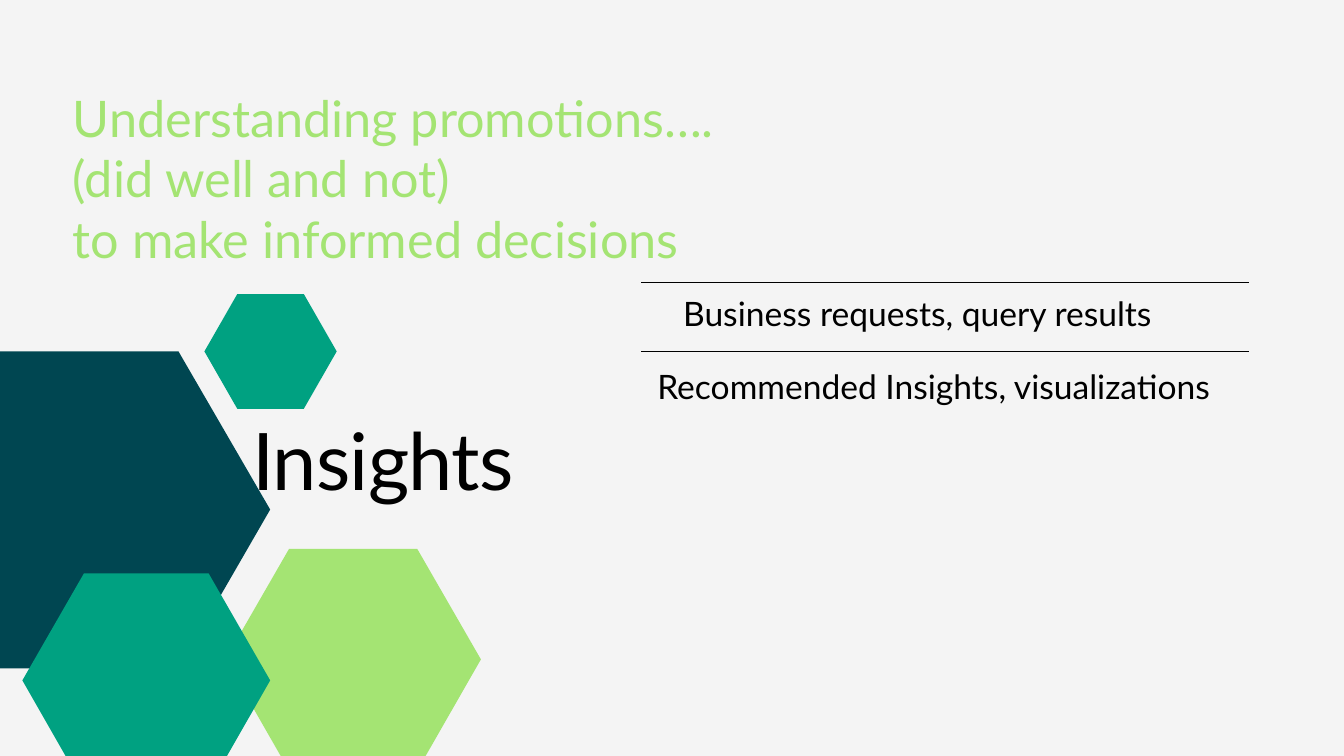
"""Build the insights slide with hexagons and two ruled text rows."""
from lxml.etree import SubElement
from pptx import Presentation
from pptx.dml.color import RGBColor
from pptx.enum.shapes import MSO_CONNECTOR
from pptx.enum.text import MSO_ANCHOR
from pptx.oxml.ns import qn
from pptx.util import Emu, Pt

PAPER = RGBColor(0xF4, 0xF4, 0xF4)
INK = RGBColor(0x00, 0x00, 0x00)
PETROL = RGBColor(0x00, 0x46, 0x51)
TEAL = RGBColor(0x00, 0xA1, 0x81)
LIME = RGBColor(0xA4, 0xE4, 0x73)


def px(length):
    """Turn px into EMU at 96 px to the inch."""
    return Emu(length * 9525)


class Canvas:
    """Hold the style and the current slide."""

    font = "Lato"

    def __init__(self, page):
        """Start on a page with the paper colour."""
        self.page = page
        page.background.fill.solid()
        page.background.fill.fore_color.rgb = PAPER

    def hexagon(self, left, top, width, height, color):
        """Draw a flat-topped hexagon inside the given bounds."""
        right, middle, bottom = left + width, top + height / 2, top + height
        inner_left, inner_right = left + width / 4, right - width / 4
        corners = [(inner_left, top), (inner_right, top), (right, middle),
                   (inner_right, bottom), (inner_left, bottom)]
        builder = self.page.shapes.build_freeform(left, middle, scale=px(1))
        builder.add_line_segments(corners, close=True)
        shape = builder.convert_to_shape()
        shape.shadow.inherit = False
        shape.fill.solid()
        shape.fill.fore_color.rgb = color
        shape.line.fill.background()

    def text(self, left, top, width, height, lines, size, color, first_spacing, tracking=0):
        """Write lines of text, the first with an exact spacing in points."""
        box = self.page.shapes.add_textbox(px(left), px(top), px(width), px(height))
        frame = box.text_frame
        frame.word_wrap = True
        frame.vertical_anchor = MSO_ANCHOR.TOP
        frame.margin_left = frame.margin_right = frame.margin_top = frame.margin_bottom = 0
        for index, line in enumerate(lines):
            para = frame.add_paragraph() if index else frame.paragraphs[0]
            if index == 0:
                para.line_spacing = Pt(first_spacing)
            span = para.add_run()
            span.text = line
            span.font.name = self.font
            span.font.size = Pt(size)
            span.font.color.rgb = color
            if tracking:
                span._r.get_or_add_rPr().set("spc", str(tracking))

    def rule(self, left, right, y):
        """Draw a thin horizontal line."""
        line = self.page.shapes.add_connector(
            MSO_CONNECTOR.STRAIGHT, px(left), px(y), px(right), px(y))
        line.line.color.rgb = INK
        line.line.width = Pt(0.75)
        SubElement(line._element.spPr, qn("a:effectLst"))


def main():
    """Build and save the deck."""
    deck = Presentation()
    deck.slide_width, deck.slide_height = px(1920), px(1080)
    canvas = Canvas(deck.slides.add_slide(deck.slide_layouts[6]))

    canvas.text(360, 587, 579, 135, ["Insights"], 85, INK, 102, tracking=-80)
    for left, top, width, height, color in [
        (-137, 502, 523, 453, PETROL),
        (322, 784, 365, 317, LIME),
        (292, 420, 189, 164, TEAL),
        (32, 819, 354, 307, TEAL),
    ]:
        canvas.hexagon(left, top, width, height, color)

    for left, top, label in [
        (976, 419, "Business requests, query results"),
        (939, 523, "Recommended Insights, visualizations"),
    ]:
        canvas.text(left, top, 869, 58, [label], 36, INK, 43.2)
    for y in (404, 502):
        canvas.rule(916, 1785, y)

    heading = ["Understanding promotions….", "(did well and not)", "to make informed decisions"]
    canvas.text(104, 44, 1246, 343, heading, 54, LIME, 124.8)
    deck.save("out.pptx")


if __name__ == "__main__":
    main()
